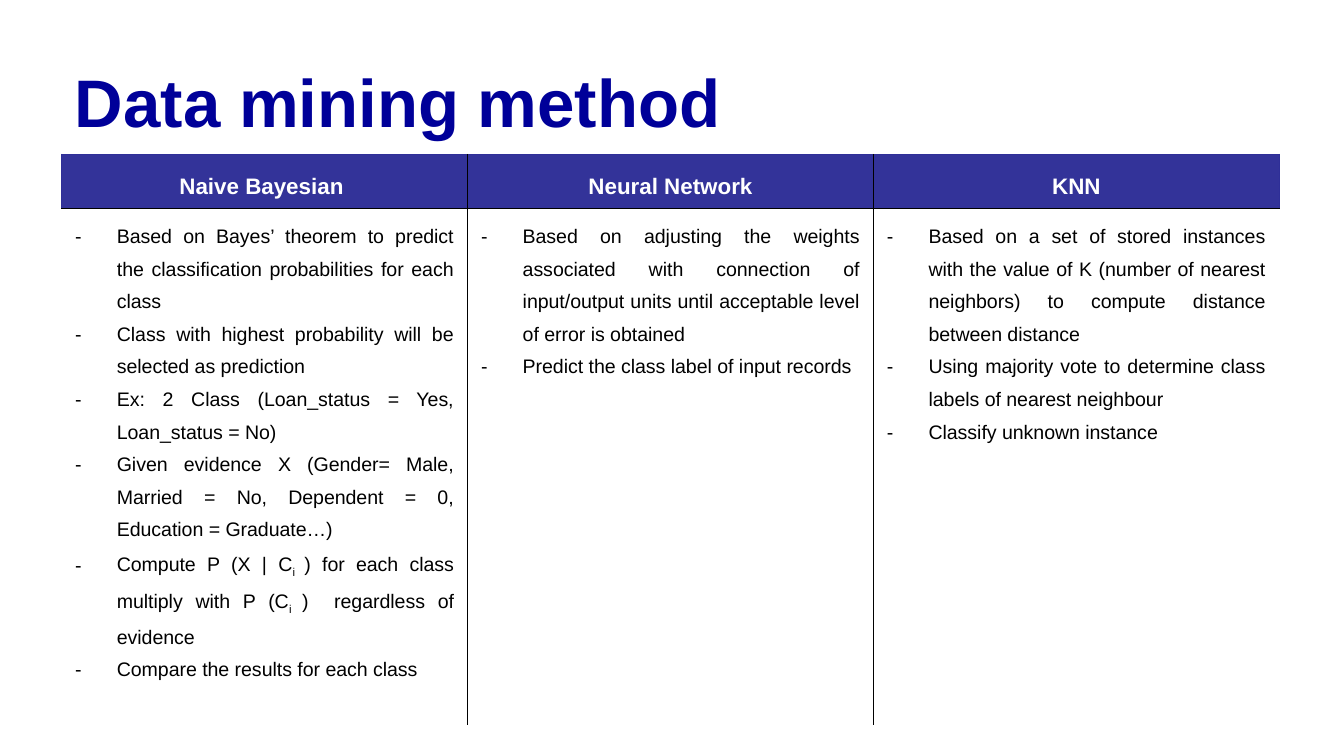
"""Build the data mining method slide with a three-column comparison table."""
from lxml.etree import SubElement
from pptx import Presentation
from pptx.dml.color import RGBColor
from pptx.enum.text import MSO_ANCHOR, PP_ALIGN
from pptx.oxml import parse_xml
from pptx.oxml.ns import nsdecls, qn
from pptx.util import Inches, Pt

BLACK, WHITE, NAVY, HEADER, HEADER_EDGE = "000000", "FFFFFF", "000099", "333399", "2F2F98"
SUBSCRIPT_MARK = "~"


def write(frame, text, size, color, bold=False, align=PP_ALIGN.LEFT, spacing=1.5, bullet=None):
    for number, line in enumerate(text.split("\n")):
        paragraph = frame.add_paragraph() if number else frame.paragraphs[0]
        paragraph.alignment = align
        paragraph.line_spacing = spacing
        if bullet:
            properties = paragraph._p.get_or_add_pPr()
            properties.set("marL", str(Inches(0.31)))
            properties.set("indent", str(-Inches(0.31)))
            SubElement(properties, qn("a:buFont"), typeface="Arial")
            SubElement(properties, qn("a:buChar"), char=bullet)
        for part, piece in enumerate(line.split(SUBSCRIPT_MARK)):
            run = paragraph.add_run()
            run.text = piece
            run.font.name = "Arial"
            run.font.size = Pt(size)
            run.font.bold = bold
            run.font.color.rgb = RGBColor.from_string(color)
            if part % 2:
                run._r.get_or_add_rPr().set("baseline", "-25000")


def add_borders(cell, edges):
    for position, side in enumerate("LRTB"):
        color, width = edges.get(side, (None, 0))
        fill = f'<a:solidFill><a:srgbClr val="{color}"/></a:solidFill>' if color else "<a:noFill/>"
        line = parse_xml(f'<a:ln{side} {nsdecls("a")} w="{Pt(width)}">{fill}</a:ln{side}>')
        cell._tc.get_or_add_tcPr().insert(position, line)


methods = {
    "Naive Bayesian ": [
        "Based on Bayes’ theorem to predict the classification probabilities for each class",
        "Class with highest probability will be selected as prediction",
        "Ex: 2 Class (Loan_status = Yes, Loan_status = No) ",
        "Given evidence X (Gender= Male, Married = No, Dependent = 0, Education = Graduate…)",
        "Compute P (X | C~i ~) for each class multiply with P (C~i ~)  regardless of evidence",
        "Compare the results for each class",
    ],
    "Neural Network": [
        "Based on adjusting the weights associated with connection of input/output units "
        "until acceptable level of error is obtained",
        "Predict the class label of input records ",
    ],
    "KNN": [
        "Based on a set of stored instances with the value of K (number of nearest neighbors) "
        "to compute distance between distance",
        "Using majority vote to determine class labels of nearest neighbour",
        "Classify unknown instance",
    ],
}

prs = Presentation()
prs.slide_width = Inches(10)
prs.slide_height = prs.slide_width * 9 // 16
slide = prs.slides.add_slide(prs.slide_layouts[6])

title = slide.shapes.add_textbox(Inches(0.46), Inches(0.47), Inches(9.07), Inches(0.71)).text_frame
title.word_wrap = True
title.vertical_anchor = MSO_ANCHOR.TOP
write(title, "Data mining method", size=36, color=NAVY, bold=True, spacing=0.9)

table_frame = slide.shapes.add_table(
    2, len(methods), Inches(0.46), Inches(1.15), Inches(9.07), Inches(4.11)
)
comparison = table_frame.table
comparison.horz_banding = False
comparison.rows[0].height = Inches(0.23)
comparison.rows[1].height = Inches(0.31)
for column in comparison.columns:
    column.width = Inches(3.02)
table_frame.width, table_frame.height = Inches(9.07), Inches(4.11)

divider, header_edge = (BLACK, 1), (HEADER_EDGE, 0.75)
last = len(methods) - 1
for column, (method, points) in enumerate(methods.items()):
    heading, details = comparison.cell(0, column), comparison.cell(1, column)
    write(heading.text_frame, method, size=12, color=WHITE, bold=True, align=PP_ALIGN.CENTER)
    write(details.text_frame, "\n".join(points), size=10.5, color=BLACK,
          align=PP_ALIGN.JUSTIFY, bullet="-")

    heading.fill.solid()
    heading.fill.fore_color.rgb = RGBColor.from_string(HEADER)
    details.fill.background()

    inner = {side: divider for side, outer in (("L", 0), ("R", last)) if column != outer}
    add_borders(heading, {"L": header_edge, "R": header_edge, "T": header_edge, "B": divider} | inner)
    add_borders(details, {"T": divider} | inner)

prs.save("out.pptx")
